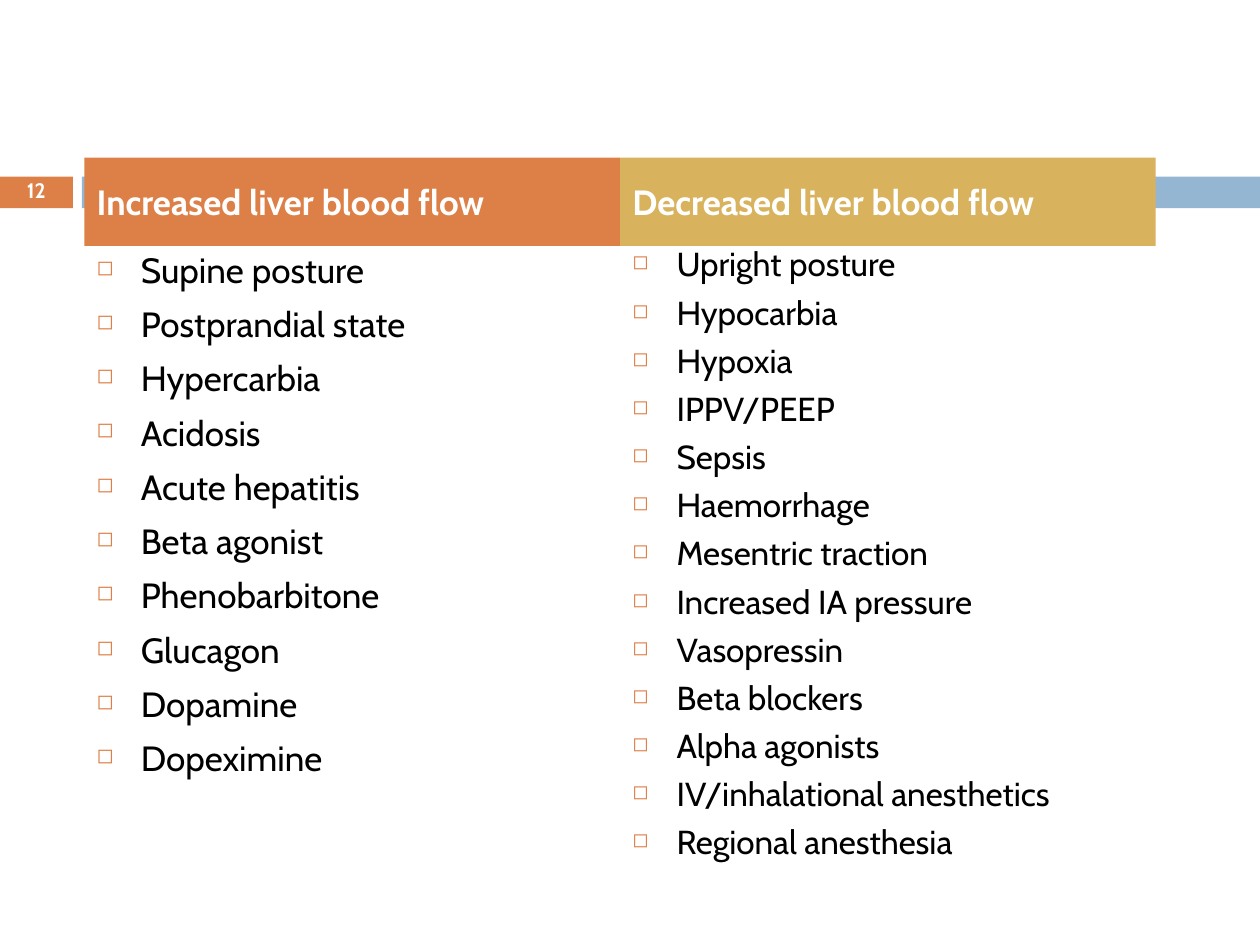
from dataclasses import dataclass

from lxml.etree import SubElement
from pptx import Presentation
from pptx.dml.color import RGBColor
from pptx.enum.shapes import MSO_SHAPE
from pptx.enum.text import MSO_ANCHOR, PP_ALIGN
from pptx.oxml.ns import qn
from pptx.shapes.autoshape import Shape
from pptx.slide import Slide
from pptx.text.text import _Paragraph
from pptx.util import Cm, Pt

ORANGE = RGBColor(0xDD, 0x80, 0x47)
BLUE = RGBColor(0x94, 0xB6, 0xD2)
GOLD = RGBColor(0xD8, 0xB2, 0x5C)
WHITE = RGBColor(0xFF, 0xFF, 0xFF)
BLACK = RGBColor(0x00, 0x00, 0x00)
FONT = "Cabin"
BULLET_INDENT = Cm(0.89)
COLUMN_LEFT = 1.7
COLUMN_WIDTH = 10.8


@dataclass(frozen=True)
class Box:
    left: float
    top: float
    width: float
    height: float

    def lengths(self) -> tuple[Cm, Cm, Cm, Cm]:
        return Cm(self.left), Cm(self.top), Cm(self.width), Cm(self.height)


@dataclass(frozen=True)
class FlowColumn:
    heading: str
    color: RGBColor
    factors: tuple[str, ...]
    size: float
    line_spacing: float


FLOW_COLUMNS = (
    FlowColumn(
        "Increased liver blood flow",
        ORANGE,
        (
            "Supine posture",
            "Postprandial state",
            "Hypercarbia",
            "Acidosis",
            "Acute hepatitis",
            "Beta agonist",
            "Phenobarbitone",
            "Glucagon",
            "Dopamine",
            "Dopeximine",
        ),
        size=20,
        line_spacing=1.0,
    ),
    FlowColumn(
        "Decreased liver blood flow",
        GOLD,
        (
            "Upright posture",
            "Hypocarbia",
            "Hypoxia",
            "IPPV/PEEP",
            "Sepsis",
            "Haemorrhage",
            "Mesentric traction",
            "Increased IA pressure",
            "Vasopressin",
            "Beta blockers",
            "Alpha agonists",
            "IV/inhalational anesthetics",
            "Regional anesthesia",
        ),
        size=19,
        line_spacing=0.9,
    ),
)


def add_bullet(paragraph: _Paragraph) -> None:
    properties = paragraph._p.get_or_add_pPr()
    properties.set("marL", str(BULLET_INDENT))
    properties.set("indent", str(-BULLET_INDENT))
    color = SubElement(properties, qn("a:buClr"))
    SubElement(color, qn("a:srgbClr"), val=str(ORANGE))
    SubElement(properties, qn("a:buSzPct"), val="60000")
    SubElement(properties, qn("a:buChar"), char="◻")


def write_text(
    shape: Shape,
    *lines: str,
    size: float,
    color: RGBColor,
    bold: bool = False,
    bulleted: bool = False,
    align: PP_ALIGN = PP_ALIGN.LEFT,
    anchor: MSO_ANCHOR = MSO_ANCHOR.TOP,
    line_spacing: float = 1.0,
    space_before: float = 0,
) -> None:
    frame = shape.text_frame
    frame.word_wrap = True
    frame.vertical_anchor = anchor
    for index, line in enumerate(lines):
        paragraph = frame.add_paragraph() if index else frame.paragraphs[0]
        if bulleted:
            add_bullet(paragraph)
        paragraph.alignment = align
        paragraph.line_spacing = line_spacing
        paragraph.space_before = Pt(space_before if index else 0)
        run = paragraph.add_run()
        run.text = line
        run.font.name = FONT
        run.font.size = Pt(size)
        run.font.bold = bold
        run.font.color.rgb = color


def add_band(slide: Slide, box: Box, color: RGBColor) -> Shape:
    band = slide.shapes.add_shape(MSO_SHAPE.RECTANGLE, *box.lengths())
    band.shadow.inherit = False
    band.fill.solid()
    band.fill.fore_color.rgb = color
    band.line.fill.background()
    return band


def add_flow_column(slide: Slide, column: FlowColumn, left: float) -> None:
    factors = slide.shapes.add_textbox(*Box(left, 4.88, COLUMN_WIDTH, 12.7).lengths())
    write_text(
        factors,
        *column.factors,
        size=column.size,
        color=BLACK,
        bulleted=True,
        line_spacing=column.line_spacing,
        space_before=7,
    )
    heading = add_band(slide, Box(left, 3.18, COLUMN_WIDTH, 1.78), column.color)
    write_text(
        heading,
        column.heading,
        size=20,
        color=WHITE,
        bold=True,
        anchor=MSO_ANCHOR.MIDDLE,
    )


def main() -> None:
    presentation = Presentation()
    presentation.slide_width = Cm(25.4)
    presentation.slide_height = Cm(19.05)
    slide = presentation.slides.add_slide(presentation.slide_layouts[6])

    page_number = add_band(slide, Box(0, 3.56, 1.47, 0.64), ORANGE)
    write_text(
        page_number,
        "12",
        size=12,
        color=WHITE,
        bold=True,
        align=PP_ALIGN.CENTER,
        anchor=MSO_ANCHOR.MIDDLE,
        line_spacing=0.8,
    )
    add_band(slide, Box(1.65, 3.56, 23.75, 0.64), BLUE)
    for index, column in enumerate(FLOW_COLUMNS):
        add_flow_column(slide, column, COLUMN_LEFT + index * COLUMN_WIDTH)

    presentation.save("out.pptx")


if __name__ == "__main__":
    main()
